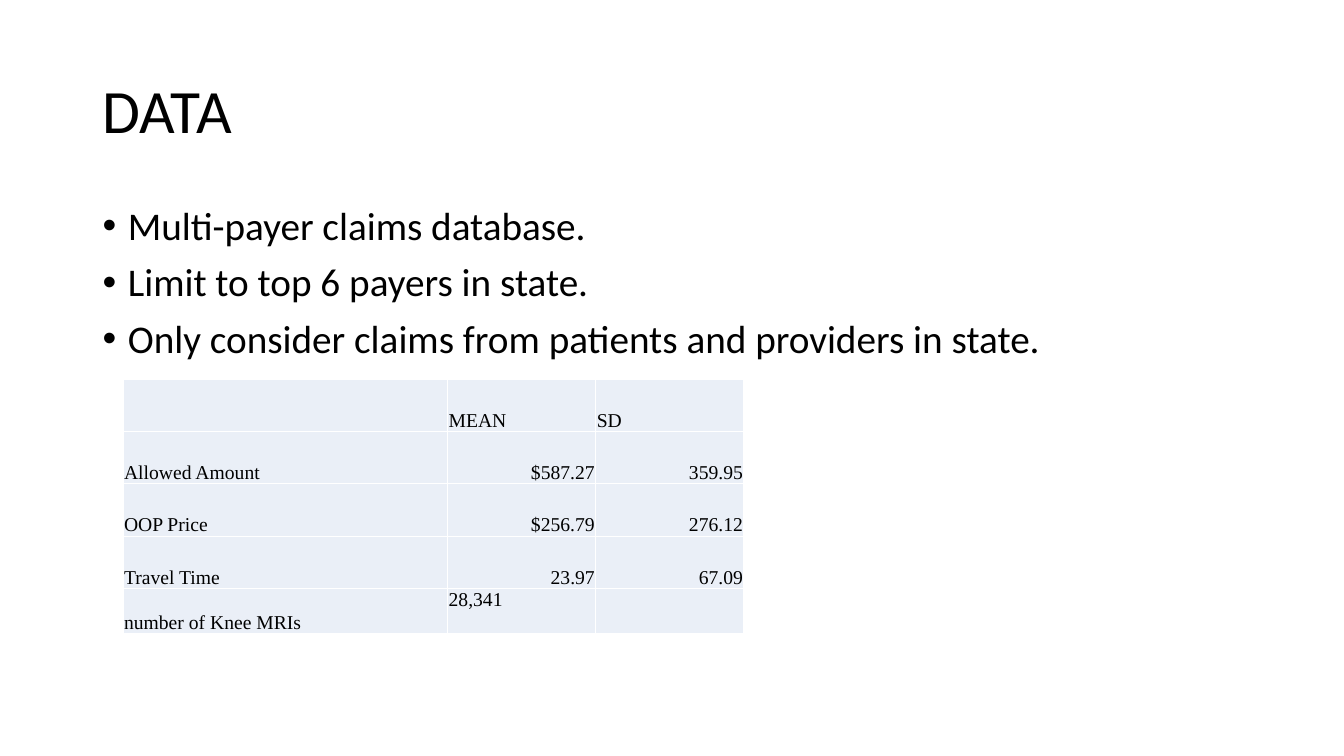
from lxml.etree import SubElement
from pptx import Presentation
from pptx.dml.color import RGBColor
from pptx.enum.text import MSO_ANCHOR, PP_ALIGN
from pptx.oxml.ns import qn
from pptx.util import Inches, Pt

COLOURS = {"text": "000000", "cell": "EAEFF7", "border": "FFFFFF"}
BULLETS = [
    "Multi-payer claims database.",
    "Limit to top 6 payers in state.",
    "Only consider claims from patients and providers in state.",
]
SUMMARY = [
    ["", "MEAN", "SD"],
    ["Allowed Amount", "$587.27", "359.95"],
    ["OOP Price", "$256.79", "276.12"],
    ["Travel Time", "23.97", "67.09"],
    ["number of Knee MRIs", "28,341", ""],
]
COLUMN_WIDTHS = [3.22, 1.47, 1.47]
ROW_HEIGHTS = [0.52] * 4 + [0.45]


class SlideWriter:
    body_font = "Calibri"
    table_font = "Times New Roman"

    def __init__(self, deck):
        self.page = deck.slides.add_slide(deck.slide_layouts[5])

    def set_font(self, paragraph, name, size):
        paragraph.font.name = name
        paragraph.font.size = Pt(size)
        paragraph.font.color.rgb = RGBColor.from_string(COLOURS["text"])

    def title(self, text, left, top, width, height):
        box = self.page.shapes.title
        box.left, box.top = Inches(left), Inches(top)
        box.width, box.height = Inches(width), Inches(height)
        box.text_frame.text = text
        box.text_frame.vertical_anchor = MSO_ANCHOR.MIDDLE
        paragraph = box.text_frame.paragraphs[0]
        paragraph.alignment = PP_ALIGN.LEFT
        paragraph.line_spacing = 0.9
        self.set_font(paragraph, self.body_font, 44)

    def bullets(self, lines, left, top, width, height):
        box = self.page.shapes.add_textbox(
            Inches(left), Inches(top), Inches(width), Inches(height))
        frame = box.text_frame
        frame.word_wrap = True
        frame.text = "\n".join(lines)
        for index, paragraph in enumerate(frame.paragraphs):
            paragraph.line_spacing = 0.9
            paragraph.space_before = Pt(10 if index else 0)
            properties = paragraph._p.get_or_add_pPr()
            properties.set("marL", str(Inches(0.25)))
            properties.set("indent", str(-Inches(0.25)))
            SubElement(properties, qn("a:buFont"), typeface="Arial")
            SubElement(properties, qn("a:buChar"), char="•")
            self.set_font(paragraph, self.body_font, 28)

    def borders(self, cell):
        properties = cell._tc.get_or_add_tcPr()
        for side in ("lnL", "lnR", "lnT", "lnB"):
            line = SubElement(properties, qn(f"a:{side}"), w=str(Pt(1)))
            fill = SubElement(line, qn("a:solidFill"))
            SubElement(fill, qn("a:srgbClr"), val=COLOURS["border"])

    def cell(self, cell, text, alignment, anchor):
        self.borders(cell)
        cell.fill.solid()
        cell.fill.fore_color.rgb = RGBColor.from_string(COLOURS["cell"])
        cell.margin_left = cell.margin_right = cell.margin_top = Inches(0.01)
        cell.margin_bottom = 0
        cell.vertical_anchor = anchor
        cell.text = text
        paragraph = cell.text_frame.paragraphs[0]
        paragraph.alignment = alignment
        self.set_font(paragraph, self.table_font, 14)

    def table(self, rows, left, top, widths, heights):
        table = self.page.shapes.add_table(
            len(rows), len(widths), Inches(left), Inches(top),
            Inches(sum(widths)), Inches(sum(heights))).table
        for column, width in zip(table.columns, widths):
            column.width = Inches(width)
        for row, height in zip(table.rows, heights):
            row.height = Inches(height)
        last = len(rows) - 1
        for row_index, row in enumerate(rows):
            for column_index, text in enumerate(row):
                is_value = column_index > 0 and 0 < row_index < last
                is_count = column_index > 0 and row_index == last
                self.cell(
                    table.cell(row_index, column_index), text,
                    PP_ALIGN.RIGHT if is_value else PP_ALIGN.LEFT,
                    MSO_ANCHOR.TOP if is_count else MSO_ANCHOR.BOTTOM)


def main():
    deck = Presentation()
    deck.slide_width, deck.slide_height = Inches(13.33), Inches(7.5)
    writer = SlideWriter(deck)
    writer.title("DATA", 0.92, 0.4, 11.5, 1.45)
    writer.bullets(BULLETS, 0.92, 2, 11.5, 4.76)
    writer.table(SUMMARY, 1.22, 3.76, COLUMN_WIDTHS, ROW_HEIGHTS)
    deck.save("out.pptx")


if __name__ == "__main__":
    main()
